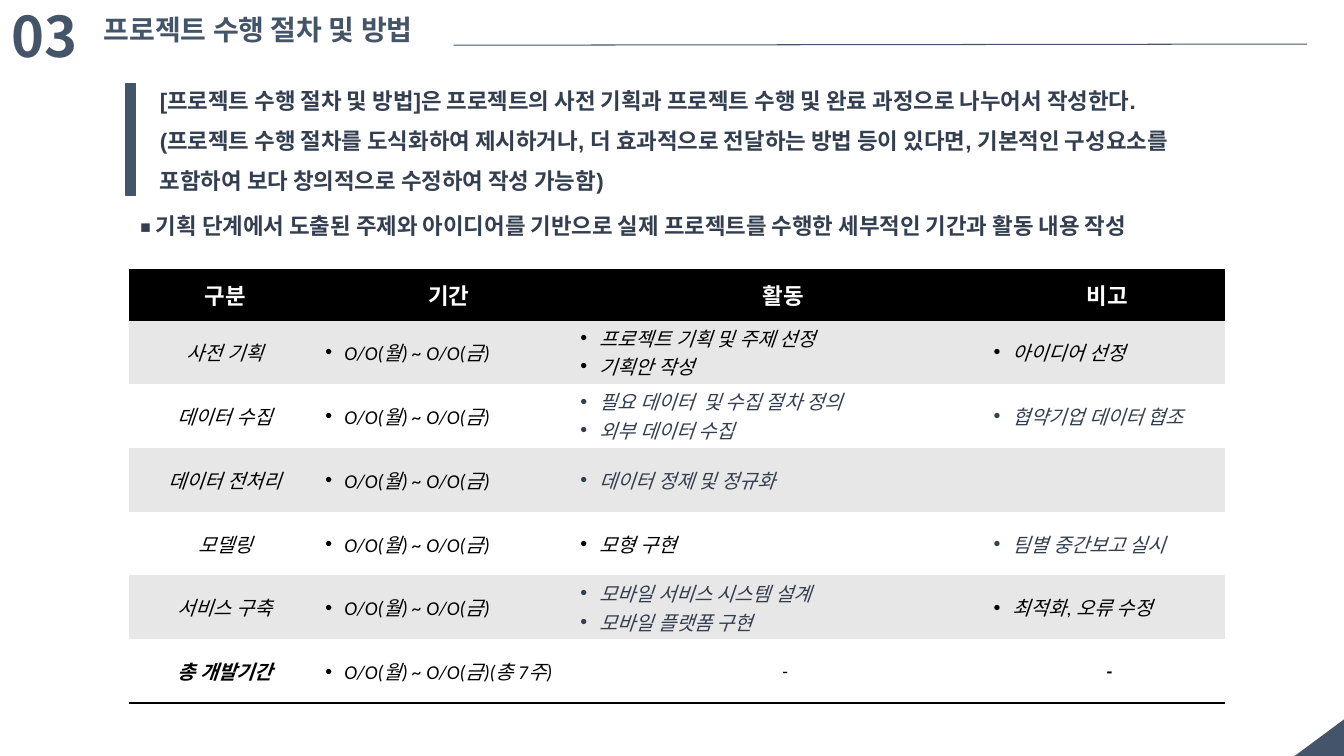
from lxml import etree
from pptx import Presentation
from pptx.dml.color import RGBColor
from pptx.enum import shapes, text
from pptx.oxml import ns
from pptx.util import Cm, Pt

SLATE, NAVY, BLACK, WHITE, GREY = "445569", "333F50", "000000", "FFFFFF", "E7E7E7"
NO_GRID_STYLE = "{2D5ABB26-0587-4C30-8999-92F81FD0307C}"


def color(value):
    """Turn a hex string into a colour."""
    return RGBColor.from_string(value)


def write(frame, lines, size=16, font="Arial", ink=NAVY, bold=False, italic=False,
          align=text.PP_ALIGN.LEFT, spacing=None, bullet=False):
    """Fill a text frame with one formatted paragraph per line."""
    for index, line in enumerate(lines.split("\n")):
        paragraph = frame.paragraphs[0] if index == 0 else frame.add_paragraph()
        paragraph.alignment = align
        if spacing:
            paragraph.line_spacing = spacing
        if bullet:
            properties = paragraph._p.get_or_add_pPr()
            properties.set("marL", str(Cm(0.48)))
            properties.set("indent", str(Cm(-0.48)))
            etree.SubElement(properties, ns.qn("a:buFont"), typeface="Arial")
            etree.SubElement(properties, ns.qn("a:buChar"), char="•")
        run = paragraph.add_run()
        run.text = line
        run.font.size, run.font.name = Pt(size), font
        run.font.bold, run.font.italic = bold, italic
        run.font.color.rgb = color(ink)


presentation = Presentation()
presentation.slide_width, presentation.slide_height = Cm(33.87), Cm(19.05)
slide = presentation.slides.add_slide(presentation.slide_layouts[6])

# Corner triangle and the bar beside the introduction
for kind, left, top, width, height, rotation in [
    (shapes.MSO_SHAPE.RIGHT_TRIANGLE, 32.77, 17.96, 0.94, 1.27, 270),
    (shapes.MSO_SHAPE.RECTANGLE, 3.18, 2.11, 0.23, 2.82, 0),
]:
    shape = slide.shapes.add_shape(kind, Cm(left), Cm(top), Cm(width), Cm(height))
    shape.rotation = rotation
    shape.shadow.inherit = False
    shape.fill.solid()
    shape.fill.fore_color.rgb = color(SLATE)
    if rotation:
        shape.line.fill.background()
    else:
        shape.line.color.rgb = color(SLATE)
        shape.line.width = Pt(1)

# Rule after the title
rule = slide.shapes.add_connector(
    shapes.MSO_CONNECTOR.STRAIGHT, Cm(11.43), Cm(1.14), Cm(32.94), Cm(1.11))
rule.line.color.rgb = color(SLATE)
rule.line.width = Pt(0.75)
etree.SubElement(rule._element.spPr, ns.qn("a:effectLst"))

# Headings and introduction
introduction = (
    "[프로젝트 수행 절차 및 방법]은 프로젝트의 사전 기획과 프로젝트 수행 및 완료 과정으로 "
    "나누어서 작성한다. (프로젝트 수행 절차를 도식화하여 제시하거나, 더 효과적으로 전달하는 "
    "방법 등이 있다면, 기본적인 구성요소를 포함하여 보다 창의적으로 수정하여 작성 가능함)")
guide = "◾ 기획 단계에서 도출된 주제와 아이디어를 기반으로 실제 프로젝트를 수행한 세부적인 기간과 활동 내용 작성"
for words, left, top, width, height, wrap, style in [
    ("03", 0.05, -0.08, 3.23, 1.96, True,
     dict(size=40, font="Noto Sans CJK KR", ink=SLATE)),
    ("프로젝트 수행 절차 및 방법", 2.36, 0.2, 9.35, 1.12, False, dict(size=20, ink=SLATE)),
    (introduction, 3.78, 1.73, 26.59, 3.2, True, dict(spacing=1.5)),
    (guide, 3.28, 5.21, 28.85, 0.94, True, {}),
]:
    box = slide.shapes.add_textbox(Cm(left), Cm(top), Cm(width), Cm(height))
    box.text_frame.word_wrap = wrap
    write(box.text_frame, words, bold=True, **style)

# Schedule table: stage, period, (activity, ink), (note, ink)
headers = ["구분", "기간", "활동", "비고"]
period = "O/O(월) ~ O/O(금)"
stages = [
    ("사전 기획", period, ("프로젝트 기획 및 주제 선정\n기획안 작성", BLACK), ("아이디어 선정", BLACK)),
    ("데이터 수집", period, ("필요 데이터  및 수집 절차 정의\n외부 데이터 수집", NAVY),
     ("협약기업 데이터 협조", NAVY)),
    ("데이터 전처리", period, ("데이터 정제 및 정규화", NAVY), ("", NAVY)),
    ("모델링", period, ("모형 구현", BLACK), ("팀별 중간보고 실시", NAVY)),
    ("서비스 구축", period, ("모바일 서비스 시스템 설계\n모바일 플랫폼 구현", NAVY),
     ("최적화, 오류 수정", BLACK)),
    ("총 개발기간", period + "(총 7주)", ("-", BLACK), ("-", BLACK)),
]
rows = [[(header, WHITE) for header in headers]]
rows += [[(stage, BLACK), (dates, BLACK), activity, note]
         for stage, dates, activity, note in stages]
last = len(rows) - 1

table = slide.shapes.add_table(
    len(rows), len(headers), Cm(3.25), Cm(6.8), Cm(27.63), Cm(10.92)).table
table._tbl.tblPr.find(ns.qn("a:tableStyleId")).text = NO_GRID_STYLE
table.first_row = table.horz_banding = False
for column, width in zip(table.columns, [4.85, 6.43, 10.41, 5.94]):
    column.width = Cm(width)

for row_index, row in enumerate(rows):
    table.rows[row_index].height = Cm(1.61 if row_index else 1.26)
    for column_index, (words, ink) in enumerate(row):
        cell = table.cell(row_index, column_index)
        cell.vertical_anchor = text.MSO_ANCHOR.MIDDLE
        is_header = row_index == 0
        is_label = is_header or column_index == 0
        if not is_label:
            cell.margin_left = Cm(0.1)
            cell.margin_top = cell.margin_right = cell.margin_bottom = 0

        # Borders come before the fill in the cell properties
        edges = {0: ["a:lnT", "a:lnB"], last: ["a:lnB"]}.get(row_index, [])
        for edge in edges:
            border = etree.SubElement(
                cell._tc.get_or_add_tcPr(), ns.qn(edge), w=str(Pt(2)))
            solid = etree.SubElement(border, ns.qn("a:solidFill"))
            etree.SubElement(solid, ns.qn("a:srgbClr"), val=BLACK)
        cell.fill.solid()
        cell.fill.fore_color.rgb = color(
            BLACK if is_header else GREY if row_index % 2 else WHITE)

        if words:
            centred = is_label or words == "-"
            write(cell.text_frame, words, size=16 if is_header else 14,
                  font="Arial" if ink == NAVY else "Calibri", ink=ink,
                  bold=is_header or (row_index == last and column_index in (0, 3)),
                  italic=not is_header, bullet=not centred,
                  align=text.PP_ALIGN.CENTER if centred else text.PP_ALIGN.LEFT)

presentation.save("out.pptx")
